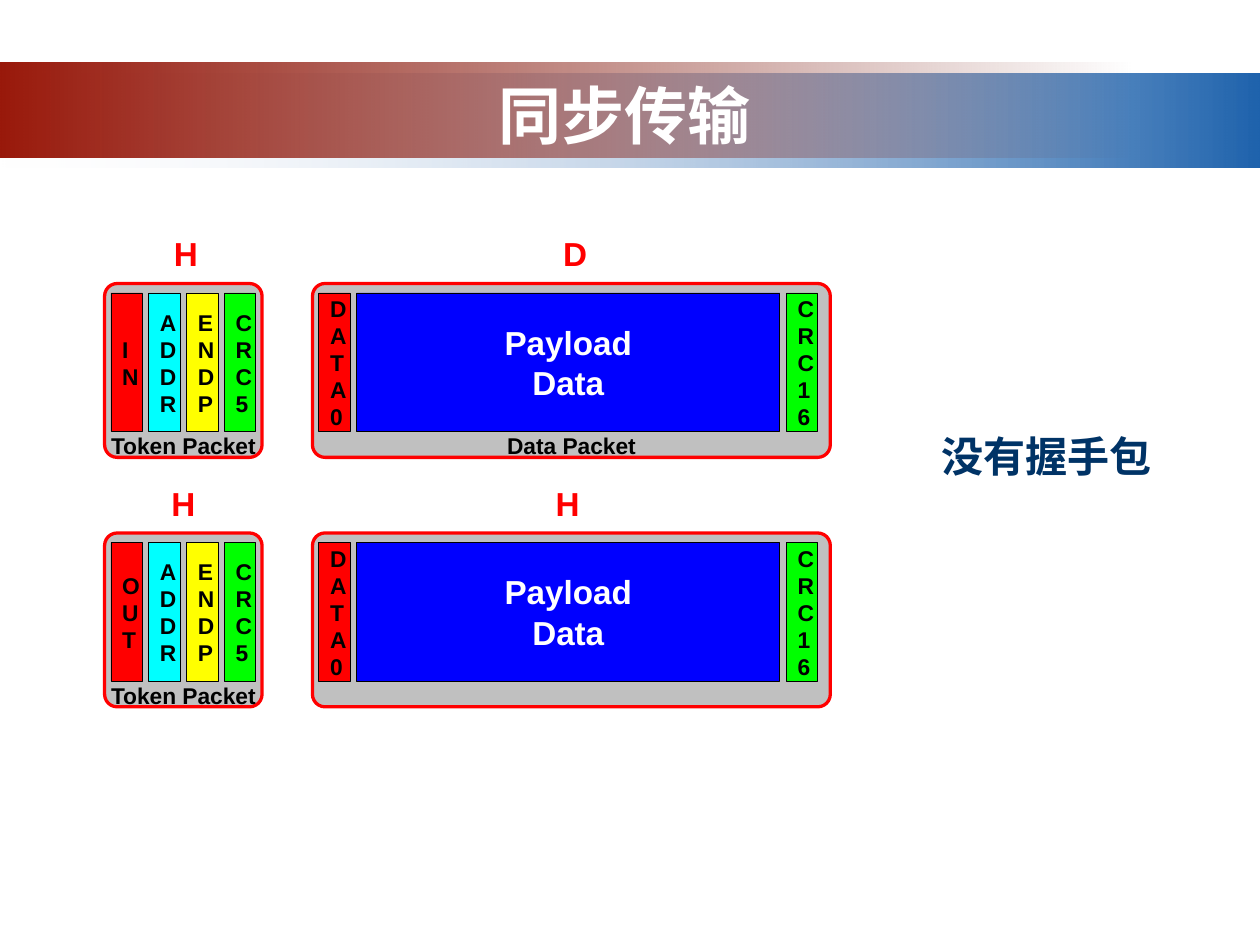
from dataclasses import dataclass

from lxml import etree
from pptx import Presentation
from pptx import util as u
from pptx.dml.color import RGBColor
from pptx.enum import shapes, text
from pptx.oxml import ns


@dataclass(frozen=True)
class Theme:
    latin: str = "Arial"
    chinese: str = "Noto Sans CJK SC"
    black: str = "000000"
    white: str = "FFFFFF"
    red: str = "FF0000"
    cyan: str = "00FFFF"
    yellow: str = "FFFF00"
    green: str = "00FF00"
    blue: str = "0000FF"
    gray: str = "C0C0C0"
    navy: str = "003366"
    title_size: float = 36
    remark_size: float = 24
    large_size: float = 19
    small_size: float = 13
    frame_line: float = 1.88
    field_line: float = 0.38


@dataclass(frozen=True)
class Box:
    column: float
    row: float
    columns: float
    rows: float


@dataclass(frozen=True)
class Band:
    box: Box
    start: str
    end: str
    clear_stop: int


@dataclass(frozen=True)
class Field:
    letters: str
    color: str
    column: float


@dataclass(frozen=True)
class Packet:
    column: float
    columns: float
    row: float
    heading: str
    heading_center: float
    caption: str
    caption_columns: float
    fields: tuple[Field, ...]
    has_payload: bool = False


THEME = Theme()
GRID_COLUMNS, GRID_ROWS = 100, 75
FIELD_COLUMNS, FIELD_ROWS, FIELD_PITCH = 2.5, 11, 3
FRAME_ROWS, FRAME_RADIUS, FIELD_DROP = 13.8, 1, 0.75
LETTER_PITCH, LETTER_INDENT = 2.14, 0.9
LARGE_ROWS, SMALL_ROWS = 3.2, 2.2
PAYLOAD_LINES = (("Payload", 10.4), ("Data", 6.2))

deck = Presentation()
deck.slide_width, deck.slide_height = u.Inches(10), u.Inches(7.5)
slide = deck.slides.add_slide(deck.slide_layouts[5])


def place(box: Box) -> tuple[int, int, int, int]:
    column = deck.slide_width / GRID_COLUMNS
    row = deck.slide_height / GRID_ROWS
    return (round(box.column * column), round(box.row * row),
            round(box.columns * column), round(box.rows * row))


def style(paragraph, size: float, color: str, font: str) -> None:
    for run in paragraph.runs:
        run.font.size, run.font.bold, run.font.name = u.Pt(size), True, font
        run.font.color.rgb = RGBColor.from_string(color)
        east_asian = etree.SubElement(run.font._element, ns.qn("a:ea"))
        east_asian.set("typeface", font)


def write(words: str, box: Box, size: float, color: str, font: str = THEME.latin,
          centered: bool = True) -> None:
    frame = slide.shapes.add_textbox(*place(box)).text_frame
    frame.margin_left = frame.margin_right = frame.margin_top = frame.margin_bottom = 0
    frame.word_wrap = not centered
    if centered:
        frame.auto_size = text.MSO_AUTO_SIZE.SHAPE_TO_FIT_TEXT
    frame.vertical_anchor = text.MSO_ANCHOR.MIDDLE
    frame.text = words
    line = frame.paragraphs[0]
    line.alignment = text.PP_ALIGN.CENTER if centered else text.PP_ALIGN.LEFT
    style(line, size, color, font)


def draw_block(box: Box, fill: str, outline: str, weight: float, radius: float = 0) -> None:
    kind = shapes.MSO_SHAPE.ROUNDED_RECTANGLE if radius else shapes.MSO_SHAPE.RECTANGLE
    block = slide.shapes.add_shape(kind, *place(box))
    if radius:
        block.adjustments[0] = radius / min(box.columns, box.rows)
    block.shadow.inherit = False
    block.fill.solid()
    block.fill.fore_color.rgb = RGBColor.from_string(fill)
    block.line.color.rgb = RGBColor.from_string(outline)
    block.line.width = u.Pt(weight)


def draw_band(band: Band) -> None:
    bar = slide.shapes.add_shape(shapes.MSO_SHAPE.RECTANGLE, *place(band.box))
    bar.shadow.inherit = False
    bar.line.fill.background()
    bar.fill.gradient()
    bar.fill.gradient_angle = 0
    for stop, color, position in zip(bar.fill.gradient_stops, (band.start, band.end), (0, 1)):
        stop.color.rgb = RGBColor.from_string(color)
        stop.position = position
    colors = list(bar.element.iter(ns.qn("a:srgbClr")))
    etree.SubElement(colors[band.clear_stop], ns.qn("a:alpha")).set("val", "0")


def draw_field(field: Field, row: float) -> None:
    draw_block(Box(field.column, row, FIELD_COLUMNS, FIELD_ROWS),
               field.color, THEME.black, THEME.field_line)
    first = row + (FIELD_ROWS - len(field.letters) * LETTER_PITCH) / 2
    for index, letter in enumerate(field.letters):
        write(letter, Box(field.column + LETTER_INDENT, first + index * LETTER_PITCH,
                          1.3, SMALL_ROWS), THEME.small_size, THEME.black, centered=False)


def draw_payload(row: float) -> None:
    payload = Box(28.3, row, 33.6, FIELD_ROWS)
    draw_block(payload, THEME.blue, THEME.black, THEME.field_line)
    center = payload.column + payload.columns / 2
    first = row + (FIELD_ROWS - len(PAYLOAD_LINES) * LARGE_ROWS) / 2
    for index, (words, columns) in enumerate(PAYLOAD_LINES):
        write(words, Box(center - columns / 2, first + index * LARGE_ROWS, columns, LARGE_ROWS),
              THEME.large_size, THEME.white)


def draw_packet(packet: Packet) -> None:
    write(packet.heading, Box(packet.heading_center - 0.95, packet.row - 4, 1.9, LARGE_ROWS),
          THEME.large_size, THEME.red)
    draw_block(Box(packet.column, packet.row, packet.columns, FRAME_ROWS),
               THEME.gray, THEME.red, THEME.frame_line, FRAME_RADIUS)
    field_row = packet.row + FIELD_DROP
    for field in packet.fields:
        draw_field(field, field_row)
    if packet.has_payload:
        draw_payload(field_row)
    if packet.caption:
        left = packet.column + (packet.columns - packet.caption_columns) / 2
        write(packet.caption, Box(left, field_row + FIELD_ROWS, packet.caption_columns, SMALL_ROWS),
              THEME.small_size, THEME.black)


def token_packet(row: float, direction: str, heading_center: float) -> Packet:
    parts = ((direction, THEME.red), ("ADDR", THEME.cyan),
             ("ENDP", THEME.yellow), ("CRC5", THEME.green))
    fields = tuple(Field(letters, color, 8.8 + index * FIELD_PITCH)
                   for index, (letters, color) in enumerate(parts))
    return Packet(8.3, 12.5, row, "H", heading_center, "Token Packet", 11.7, fields)


def data_packet(row: float, heading: str, heading_center: float, caption: str) -> Packet:
    fields = (Field("DATA0", THEME.red, 25.3), Field("CRC16", THEME.green, 62.4))
    return Packet(24.8, 41.1, row, heading, heading_center, caption, 10.3, fields, True)


for band in (Band(Box(0, 5.8, 100, 7.5), "F1F2F7", "1F63AD", 0),
             Band(Box(0, 5, 90, 7.5), "99190B", "6D1208", 1)):
    draw_band(band)

title = slide.shapes.title
title.element.getparent().append(title.element)
title.left, title.top, title.width, title.height = place(Box(9.2, 6, 80.8, 6.2))
title.text_frame.text = "同步传输"
title.text_frame.vertical_anchor = text.MSO_ANCHOR.MIDDLE
title.text_frame.paragraphs[0].alignment = text.PP_ALIGN.CENTER
style(title.text_frame.paragraphs[0], THEME.title_size, THEME.white, THEME.chinese)

for packet in (token_packet(22.5, "IN", 14.75), data_packet(22.5, "D", 45.65, "Data Packet"),
               token_packet(42.3, "OUT", 14.55), data_packet(42.3, "H", 45.05, "")):
    draw_packet(packet)

write("没有握手包", Box(73.6, 33.6, 18.9, 5.1), THEME.remark_size, THEME.navy, THEME.chinese)

deck.save("out.pptx")
